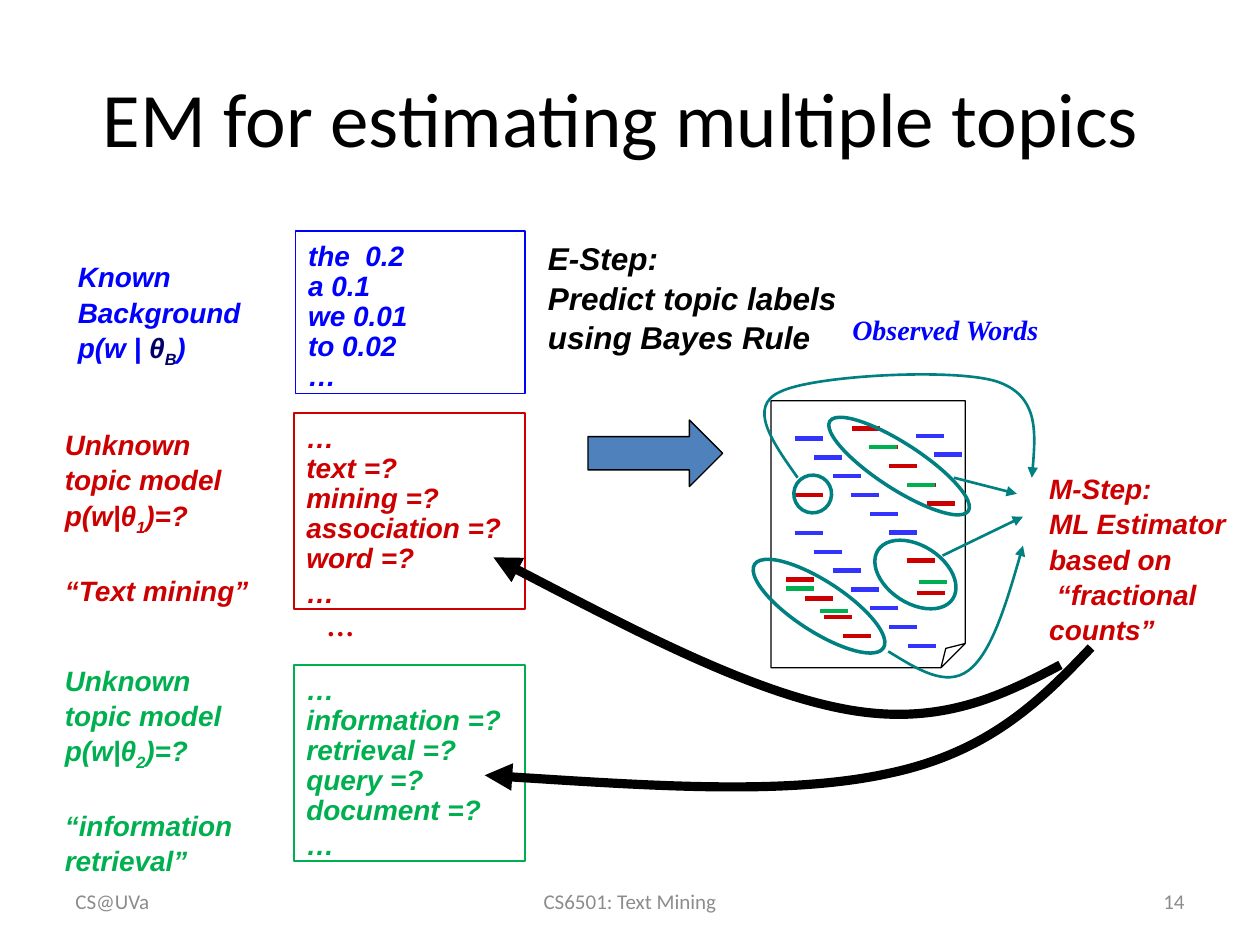
from lxml.etree import SubElement
from pptx import Presentation
from pptx.dml.color import RGBColor
from pptx.enum.shapes import MSO_CONNECTOR as Connector, MSO_SHAPE as Preset
from pptx.enum.text import MSO_ANCHOR as Anchor, PP_ALIGN as Align
from pptx.oxml.ns import qn
from pptx.util import Pt

BLUE, RED, GREEN, TEAL, BLACK = "0000FF", "CC0000", "00B050", "008080", "000000"
EMPHASIS = {"name": "Arial", "size": Pt(16), "bold": True, "italic": True}
SERIF = {**EMPHASIS, "name": "Times New Roman"}
TITLE = {"name": "Calibri", "size": Pt(44)}
FOOTER = {"name": "Calibri", "size": Pt(12)}
DASH_WIDTH, DASH_STEP = 16, 10.75


def rgb(color):
    return RGBColor.from_string(color)


def points(*values):
    return [Pt(value) for value in values]


def write(frame, lines, color, style, spacings=(), gap_line=None, align=Align.LEFT, anchor=Anchor.TOP):
    frame.word_wrap = True
    frame.vertical_anchor = anchor
    for index, line in enumerate(lines):
        paragraph = frame.paragraphs[0] if index == 0 else frame.add_paragraph()
        paragraph.alignment = align
        if spacings:
            paragraph.line_spacing = spacings[min(index, len(spacings) - 1)]
        if index == gap_line:
            paragraph.space_before = Pt(20)
        for part in [line] if isinstance(line, str) else line:
            if part == "\v":
                paragraph.add_line_break()
                continue
            content, shade, baseline = (part, color, None) if isinstance(part, str) else part
            run = paragraph.add_run()
            run.text = content
            for attribute, value in style.items():
                setattr(run.font, attribute, value)
            run.font.color.rgb = rgb(shade or color)
            if baseline:
                run.font._element.set("baseline", str(baseline * 1000))


def text(slide, box, lines, color, style, **layout):
    write(slide.shapes.add_textbox(*points(*box)).text_frame, lines, color, style, **layout)


def outline(item, color, width, arrow=False):
    item.line.color.rgb = rgb(color)
    item.line.width = Pt(width)
    if arrow:
        SubElement(item.line._get_or_add_ln(), qn("a:tailEnd"), type="triangle")


def shape(slide, preset, box, color, width, fill=None, rotation=0):
    item = slide.shapes.add_shape(preset, *points(*box))
    item.shadow.inherit = False
    item.rotation = rotation
    if fill:
        item.fill.solid()
        item.fill.fore_color.rgb = rgb(fill)
    else:
        item.fill.background()
    outline(item, color, width)
    return item


def line(slide, start, end, color, width, arrow=False):
    item = slide.shapes.add_connector(Connector.STRAIGHT, *points(*start, *end))
    outline(item, color, width, arrow)
    SubElement(item._element.spPr, qn("a:effectLst"))


def curve(slide, start, controls, color, width):
    builder = slide.shapes.build_freeform(*points(*start))
    builder.add_line_segments([points(*spot) for spot in controls], close=False)
    item = builder.convert_to_shape()
    item.shadow.inherit = False
    item.fill.background()
    outline(item, color, width, arrow=True)
    segments = list(item._element.iter(qn("a:lnTo")))
    outline_path = segments[0].getparent()
    for first in range(0, len(segments), 3):
        bezier = SubElement(outline_path, qn("a:cubicBezTo"))
        for segment in segments[first:first + 3]:
            bezier.append(segment[0])
            outline_path.remove(segment)


def topic_model(slide, label_box, label, words_box, words, color, spacings, gap_line=None):
    words_shape = shape(slide, Preset.RECTANGLE, words_box, color, 0.75)
    write(words_shape.text_frame, words, color, EMPHASIS, spacings=spacings)
    text(slide, label_box, label, color, EMPHASIS, spacings=[1.05], gap_line=gap_line)


def unknown_topic(slide, left, top, number, name, words, color, label_shift):
    label = ["Unknown", "topic model", ["p(w|θ", (number, None, -25), ")=?"], name]
    topic_model(slide, (left, top + label_shift, 122, 106), label,
                (left + 138, top, 132, 112), ["…", *words, "…"], color,
                [1.05] + [0.89] * len(words) + [1.05], gap_line=3)


def observed_document(slide, left, top, width, height):
    def at(x, y):
        return left + x, top + y

    def dashes(color, runs):
        for x, y, count in runs:
            for step in range(count):
                offset = step * DASH_STEP
                line(slide, at(x + offset, y + offset),
                     at(x + offset + DASH_WIDTH, y + offset), color, 2.5)

    dashes("3333FF", [(13.7, 21.6, 6), (82.6, 20, 2), (13.7, 75.6, 7)])
    dashes(RED, [(46, 15.8, 5), (8.7, 102.2, 4), (77.8, 91.4, 1), (83.5, 110, 1), (13.7, 54, 1)])
    page = shape(slide, Preset.FOLDED_CORNER, (left, top, width, height), BLACK, 0.75)
    for fold in page._element.iter(qn("a:avLst")):
        SubElement(fold, qn("a:gd"), name="adj", fmla="val 12500")
    for x, y, across, down in [(26, 24.4, 94.3, 25.9), (-16.5, 103, 87.8, 28.8),
                               (57, 82.8, 51, 33), (13, 42.5, 21.6, 21.6)]:
        shape(slide, Preset.OVAL, (*at(x, y), across, down), TEAL, 2, rotation=33)
    line(slide, at(104.5, 44), at(140.5, 53.2), TEAL, 1.5, arrow=True)
    line(slide, at(98, 88.5), at(144, 66.2), TEAL, 1.5, arrow=True)
    for start, controls in [
        ((67, 143.2), [(83.5, 153.3), (100, 164), (113, 154), (126, 144), (135.4, 113), (144, 82.8)]),
        ((15.2, 44), [(0.8, 23.7), (-13.6, 3.5), (5, -5), (23.8, -14.5), (104.5, -18.8), (129, -11),
                      (152.7, -3), (151.2, 20.8), (149, 44)]),
    ]:
        curve(slide, at(*start), [at(*spot) for spot in controls], TEAL, 1.5)
    dashes(GREEN, [(56.2, 26.6, 1), (77.8, 48.2, 1), (84.3, 103.6, 1), (8.7, 107.2, 1), (28, 120.2, 1)])


def em_steps(slide, left, top):
    text(slide, (left, top, 190, 73), ["E-Step:", "Predict topic labels", "using Bayes Rule"],
         BLACK, {**EMPHASIS, "size": Pt(18)}, spacings=[1.05])
    shape(slide, Preset.RIGHT_ARROW, (left + 30, top + 108, 77, 38), BLACK, 0.75, fill="4F81BD")
    text(slide, (left + 286.5, top + 133, 122, 104),
         ["M-Step:", "ML Estimator", "based on", " “fractional", "counts”"],
         RED, EMPHASIS, spacings=[1.05])
    for start, controls in [
        ((300, 248), [(265, 266.5), (229.5, 283.5), (175.5, 273), (121.5, 262.5), (49, 224.5), (-24, 186.5)]),
        ((317.5, 238), [(288.5, 268.5), (259, 298), (201.5, 310), (144, 322.5), (57.5, 316.5), (-29, 311)]),
    ]:
        curve(slide, (left + start[0], top + start[1]),
              [(left + x, top + y) for x, y in controls], BLACK, 5.25)


def footer(slide, left, top, width, height):
    for x, across, label, align in [(0, 168, "CS@UVa", Align.LEFT),
                                    (210, 228, "CS6501: Text Mining", Align.CENTER),
                                    (width - 168, 168, "14", Align.RIGHT)]:
        text(slide, (left + x, top, across, height), [label], "8C8C8C", FOOTER,
             align=align, anchor=Anchor.MIDDLE)


def main():
    deck = Presentation()
    deck.slide_width, deck.slide_height = points(720, 540)
    slide = deck.slides.add_slide(deck.slide_layouts[6])
    text(slide, (36, 21.6, 648, 90), ["EM for estimating multiple topics "], BLACK, TITLE,
         align=Align.CENTER, anchor=Anchor.MIDDLE)
    topic_model(slide, (37.4, 144, 113, 65.5),
                ["Known", "Background", ["p(w | ", ("θ", "000066", None), ("B", "000066", -25), ")"]],
                (169, 132, 131, 93), ["the  0.2", "a 0.1", "we 0.01", "to 0.02", "…"],
                BLUE, [1.05, 0.89])
    unknown_topic(slide, 30, 236, "1", "“Text mining”",
                  ["text =?", "mining =?", "association =?", "word =?"], RED, 3.8)
    text(slide, (180, 344, 35, 32), ["…"], RED, SERIF)
    unknown_topic(slide, 30, 380, "2", ["“information", "\v", "retrieval”"],
                  ["information =?", "retrieval =?", "query =?", "document =?"], GREEN, -5.6)
    text(slide, (480, 174, 199, 27), ["Observed Words"], BLUE, SERIF, spacings=[1.05])
    observed_document(slide, 440.6, 229, 111, 152.6)
    em_steps(slide, 306, 132)
    footer(slide, 36, 500.4, 648, 29)
    deck.save("out.pptx")


if __name__ == "__main__":
    main()
